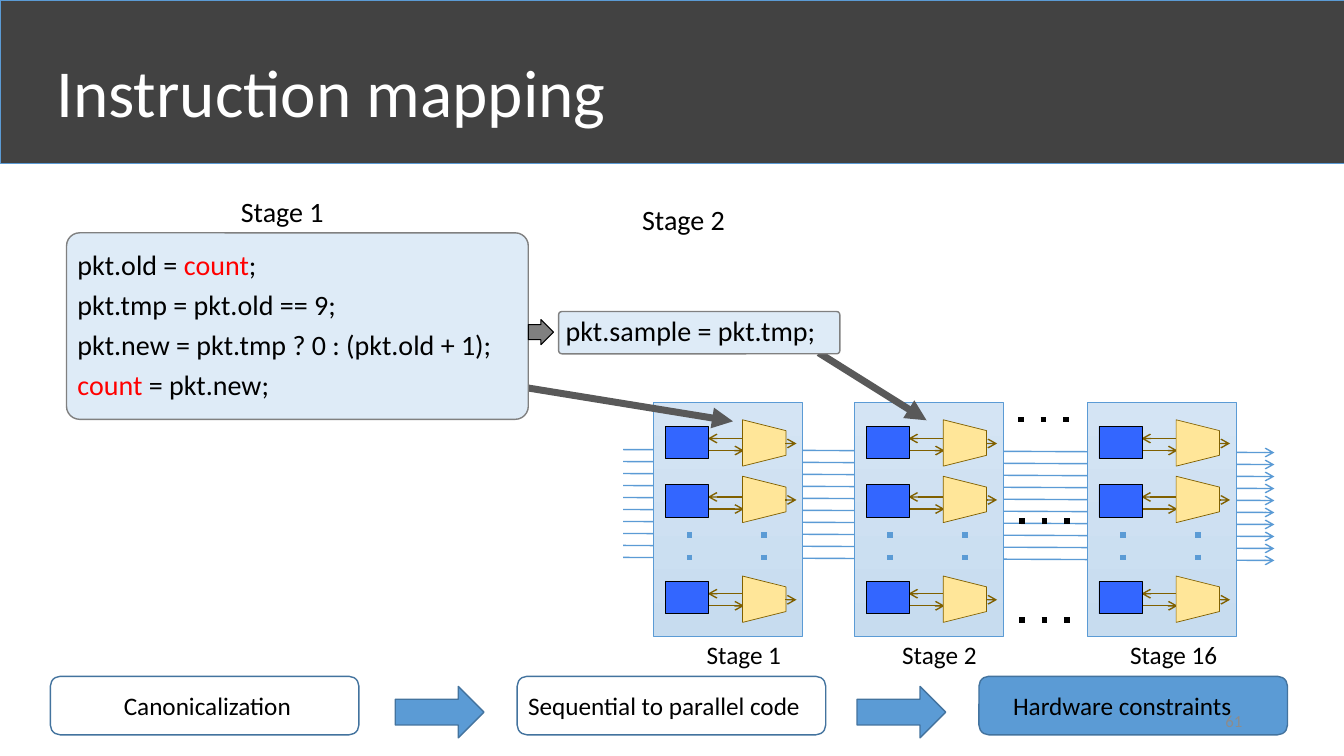
from lxml import etree
from pptx import Presentation
from pptx.dml.color import RGBColor
from pptx.enum import shapes, text
from pptx.oxml.ns import qn
from pptx import util as u

BLACK = RGBColor(0, 0, 0)
WHITE = RGBColor(255, 255, 255)
RED = RGBColor(255, 0, 0)
BANNER = RGBColor(0x42, 0x42, 0x42)
BLUE = RGBColor(0x5B, 0x9B, 0xD5)
DARK_BLUE = RGBColor(0x43, 0x73, 0x9E)
PALE_BLUE = RGBColor(0xDE, 0xEB, 0xF7)
STAGE_TOP = RGBColor(0xD4, 0xE4, 0xF4)
STAGE_BOTTOM = RGBColor(0xC7, 0xDC, 0xEF)
MEMORY = RGBColor(0x33, 0x66, 0xFF)
MUX = RGBColor(0xFF, 0xE6, 0x99)
BROWN = RGBColor(0x80, 0x60, 0)
GRAY = RGBColor(0x80, 0x80, 0x80)
MAPPING = RGBColor(0x59, 0x59, 0x59)
PAGE_GRAY = RGBColor(0x8C, 0x8C, 0x8C)

TITLE = "Instruction mapping"
PAGE = "61"
STAGE_1_CODE = [
    [("pkt.old = ", BLACK), ("count", RED), (";", BLACK)],
    [("pkt.tmp = pkt.old == 9;", BLACK)],
    [("pkt.new = pkt.tmp ? 0 : (pkt.old + 1);", BLACK)],
    [("count ", RED), ("= pkt.new;", BLACK)],
]
STAGE_2_CODE = [[("pkt.sample = pkt.tmp;", BLACK)]]
# label, left, top
CODE_LABELS = [("Stage 1", 2.29, 1.88), ("Stage 2", 6.27, 1.96)]
# label, stage left, label offset
STAGES = [("Stage 1", 6.48, 0.43), ("Stage 2", 8.47, 0.38), ("Stage 16", 10.78, 0.33)]
# memory top, multiplexer top
UNITS = [(4.23, 4.18), (4.81, 4.74), (5.77, 5.73)]
# label, left, fill, text inset
PHASES = [
    ("Canonicalization", 0.5, None, 0.7),
    ("Sequential to parallel code", 5.13, None, 0.08),
    ("Hardware constraints", 9.71, BLUE, 0.31),
]
PHASE_ARROWS = [3.92, 8.5]
# start, end
MAPPINGS = [((8.12, 3.5), (9.19, 4.17)), ((5.12, 3.83), (7.27, 4.18))]
ELLIPSES = [(10.1, 4.16), (10.11, 5.17), (10.11, 6.15)]
BUS_COUNT, BUS_LEFT, BUS_RIGHT, BUS_TOP, BUS_HEIGHT = 10, 6.18, 12.64, 4.46, 1.07
STAGE_Y, STAGE_W, STAGE_H = 3.99, 1.48, 2.32

prs = Presentation()
prs.slide_width, prs.slide_height = u.Inches(13.33), u.Inches(7.5)
slide = prs.slides.add_slide(prs.slide_layouts[6])
Shape = shapes.MSO_SHAPE


def inches(*lengths):
    return [u.Inches(length) for length in lengths]


def write(frame, paragraphs, size=18, anchor=text.MSO_ANCHOR.TOP,
          align=text.PP_ALIGN.LEFT, margins=(0.1, 0.05, 0.1, 0.05),
          spacing=None, after=None):
    """Fill a text frame from paragraphs, each a list of (words, colour) runs."""
    frame.word_wrap = True
    frame.vertical_anchor = anchor
    (frame.margin_left, frame.margin_top,
     frame.margin_right, frame.margin_bottom) = inches(*margins)
    for i, runs in enumerate(paragraphs):
        paragraph = frame.add_paragraph() if i else frame.paragraphs[0]
        paragraph.alignment = align
        if spacing:
            paragraph.line_spacing = spacing
        if after:
            paragraph.space_after = u.Pt(after)
        for words, color in runs:
            run = paragraph.add_run()
            run.text = words
            run.font.name = "Calibri"
            run.font.size = u.Pt(size)
            run.font.color.rgb = color


def label(words, box, color=BLACK, **options):
    frame = slide.shapes.add_textbox(*inches(*box)).text_frame
    write(frame, [[(words, color)]], **options)


def block(kind, box, fill, edge, width=0.5, turn=0, adjust=()):
    shape = slide.shapes.add_shape(kind, *inches(*box))
    shape.shadow.inherit = False
    shape.rotation = turn
    for i, value in enumerate(adjust):
        shape.adjustments[i] = value
    if fill is None:
        shape.fill.background()
    else:
        shape.fill.solid()
        shape.fill.fore_color.rgb = fill
    shape.line.color.rgb = edge
    shape.line.width = u.Pt(width)
    return shape


def line(start, end, color, width=1, dotted=False, head=None):
    link = slide.shapes.add_connector(
        shapes.MSO_CONNECTOR.STRAIGHT, *inches(*start, *end))
    link.line.color.rgb = color
    link.line.width = u.Pt(width)
    properties = link.line._get_or_add_ln()
    if dotted:
        etree.SubElement(properties, qn("a:prstDash"), val="dot")
    if head:
        etree.SubElement(properties, qn("a:tailEnd"), type=head)
    etree.SubElement(link._element.spPr, qn("a:effectLst"))


def code_box(box, lines, inset, radius):
    shape = block(Shape.ROUNDED_RECTANGLE, box, PALE_BLUE, GRAY, 1, adjust=[radius])
    write(shape.text_frame, lines, size=20, anchor=text.MSO_ANCHOR.MIDDLE,
          margins=[inset] * 4, spacing=0.9, after=7)


def dots(x, y, dx=0, dy=0, color=BLUE):
    line((x, y), (x + dx, y + dy), color, 4, dotted=True)


def stage(name, x, label_offset):
    """Draw one pipeline stage with its memories and multiplexers."""
    body = block(Shape.RECTANGLE, (x, STAGE_Y, STAGE_W, STAGE_H), None, BLUE)
    body.fill.gradient()
    body.fill.gradient_angle = 270
    for stop, color in zip(body.fill.gradient_stops, (STAGE_TOP, STAGE_BOTTOM)):
        stop.color.rgb = color
    label(name, (x + label_offset, STAGE_Y + STAGE_H - 0.02, 1.3, 0.4))
    for memory_y, mux_y in UNITS:
        write_y, read_y, out_y = memory_y + 0.12, memory_y + 0.24, mux_y + 0.22
        line((x + 0.36, read_y), (x + 0.9, read_y), BROWN, head="arrow")
        line((x + 0.94, write_y), (x + 0.54, write_y), BROWN, head="arrow")
        block(Shape.RECTANGLE, (x + 0.12, memory_y, 0.43, 0.32), MEMORY, BLACK)
        block(Shape.TRAPEZOID, (x + 0.87, mux_y, 0.46, 0.43), MUX, BROWN, turn=90)
        line((x + 1.31, out_y), (x + 1.42, out_y), BROWN, head="arrow")
    for offset in (0.36, 1.1):
        dots(x + offset, 5.28, dy=0.38)


block(Shape.RECTANGLE, (0, 0, 13.33, 1.62), BANNER, BLUE)
label(TITLE, (0.46, 0.17, 11.5, 1.45), WHITE, size=48, anchor=text.MSO_ANCHOR.MIDDLE)

for words, x, fill, inset in PHASES:
    phase = block(Shape.ROUNDED_RECTANGLE, (x, 6.71, 3.06, 0.58), fill, DARK_BLUE, 1)
    write(phase.text_frame, [[(words, BLACK)]], anchor=text.MSO_ANCHOR.MIDDLE,
          margins=(inset, 0.05, 0, 0.05))
for x in PHASE_ARROWS:
    block(Shape.RIGHT_ARROW, (x, 6.81, 0.88, 0.51), BLUE, DARK_BLUE, 1)

for i in range(BUS_COUNT):
    y = BUS_TOP + i * BUS_HEIGHT / (BUS_COUNT - 1)
    line((BUS_LEFT, y), (BUS_RIGHT, y + 0.03), BLUE, head="arrow")
for x, y in ELLIPSES:
    dots(x, y, dx=0.58, color=BLACK)
for name, x, label_offset in STAGES:
    stage(name, x, label_offset)

for start, end in MAPPINGS:
    line(start, end, MAPPING, 5, head="triangle")
label(PAGE, (9.42, 6.95, 3, 0.4), PAGE_GRAY, size=12,
      anchor=text.MSO_ANCHOR.MIDDLE, align=text.PP_ALIGN.RIGHT)
code_box((0.66, 2.31, 4.58, 1.85), STAGE_1_CODE, 0.07, 0.07)
block(Shape.RIGHT_ARROW, (5.24, 3.17, 0.25, 0.25), GRAY, BLACK, 0.75, adjust=[0.6, 0.5])
code_box((5.54, 3.09, 2.79, 0.42), STAGE_2_CODE, 0.06, 0.08)
for words, x, y in CODE_LABELS:
    label(words, (x, y, 1.2, 0.44), size=20)

prs.save("out.pptx")
